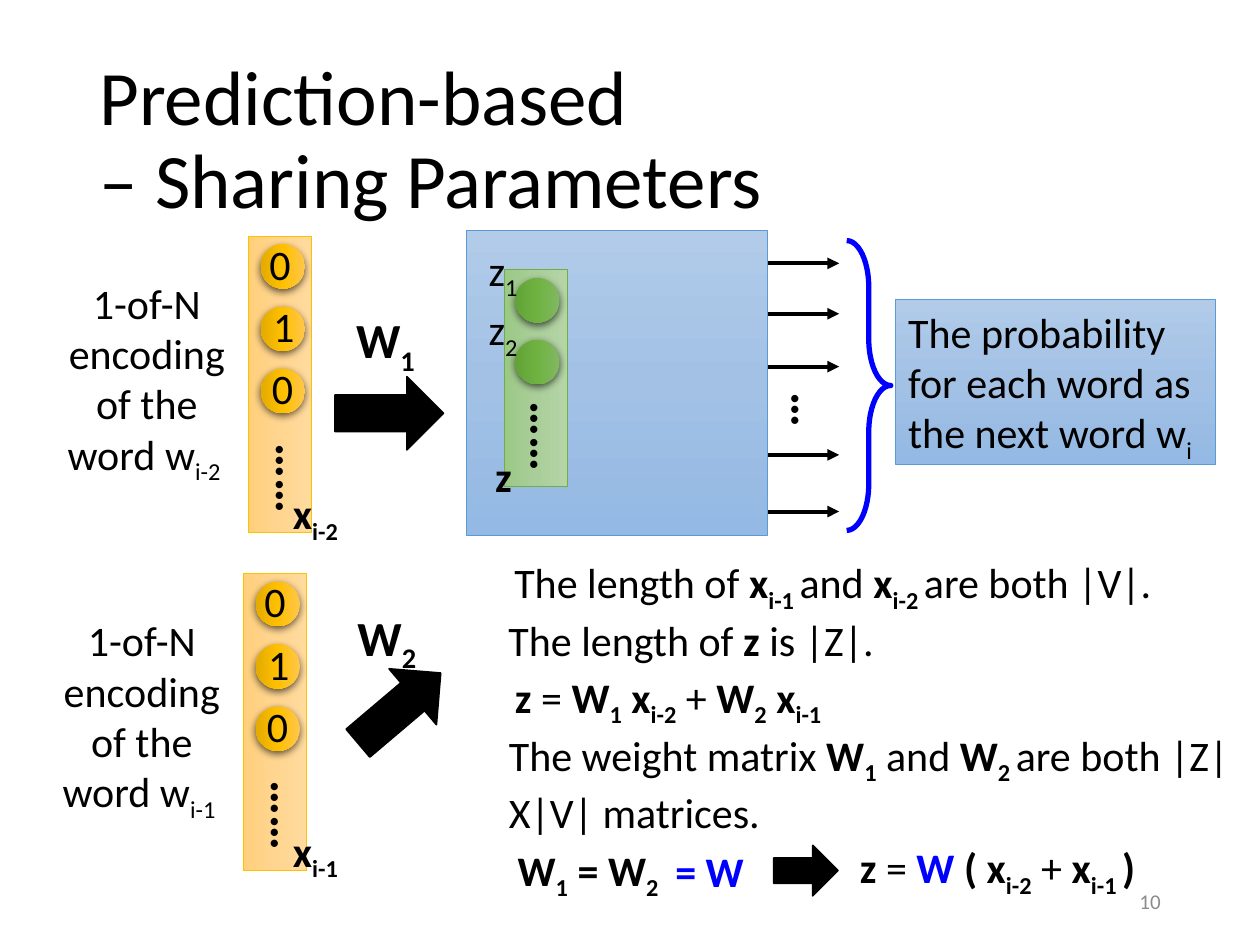
from dataclasses import dataclass
from typing import NamedTuple

from lxml import etree
from pptx import Presentation
from pptx.dml.color import RGBColor
from pptx.enum.shapes import MSO_CONNECTOR, MSO_SHAPE
from pptx.enum.text import MSO_ANCHOR, PP_ALIGN
from pptx.oxml import parse_xml
from pptx.oxml.ns import nsdecls, qn
from pptx.util import Inches, Pt

RECTANGLE, OVAL = MSO_SHAPE.RECTANGLE, MSO_SHAPE.OVAL
ARROW, BRACE = MSO_SHAPE.RIGHT_ARROW, MSO_SHAPE.LEFT_BRACE
STRAIGHT = MSO_CONNECTOR.STRAIGHT
LEFT, CENTER, RIGHT = PP_ALIGN.LEFT, PP_ALIGN.CENTER, PP_ALIGN.RIGHT
TOP, MIDDLE = MSO_ANCHOR.TOP, MSO_ANCHOR.MIDDLE


class Box(NamedTuple):
    left: float
    top: float
    width: float
    height: float


class Paint(NamedTuple):
    stops: tuple[str, str, str]
    line: str | None = None


@dataclass(frozen=True)
class Theme:
    font: str = "Calibri"
    black: str = "000000"
    blue: str = "0000FF"
    gray: str = "8C8C8C"
    title: int = 44
    large: int = 28
    body: int = 24
    small: int = 12
    panel: Paint = Paint(("B1CBE9", "A3C1E5", "93B9E4"), "5B9BD5")
    input_bar: Paint = Paint(("FFDB9E", "FFD590", "FFD07C"), "FFC000")
    input_node: Paint = Paint(("FFC64B", "FFC000", "E3AB00"))
    hidden_bar: Paint = Paint(("B5D5A7", "AACE9A", "9CC987"), "70AD47")
    hidden_node: Paint = Paint(("81B861", "6FB242", "62A336"))


THEME = Theme()


@dataclass(frozen=True)
class Span:
    text: str
    bold: bool = False
    sub: bool = False
    color: str = THEME.black


def bold(text: str, color: str = THEME.black) -> Span:
    return Span(text, bold=True, color=color)


def bold_sub(text: str) -> Span:
    return Span(text, bold=True, sub=True)


def write(frame, paragraphs: list[list[Span]], size: int, align=LEFT, anchor=TOP) -> None:
    frame.word_wrap = True
    frame.vertical_anchor = anchor
    for index, spans in enumerate(paragraphs):
        para = frame.add_paragraph() if index else frame.paragraphs[0]
        para.alignment = align
        for span in spans:
            if span.text == "\n":
                para.add_line_break()
                continue
            run = para.add_run()
            run.text = span.text
            run.font.name = THEME.font
            run.font.size = Pt(size)
            run.font.bold = span.bold
            run.font.color.rgb = RGBColor.from_string(span.color)
            if span.sub:
                run.font._element.set("baseline", "-25000")


def add_text(page, box: Box, *paragraphs: list[Span], size: int = THEME.body,
             align=CENTER, anchor=TOP, rotation: float = 0):
    label = page.shapes.add_textbox(*map(Inches, box))
    label.rotation = rotation
    write(label.text_frame, list(paragraphs), size, align, anchor)
    return label


def add_painted(page, kind, box: Box, paint: Paint, rotation: float = 0):
    shape = page.shapes.add_shape(kind, *map(Inches, box))
    shape.rotation = rotation
    shape.shadow.inherit = False
    stops = "".join(f'<a:gs pos="{index * 50000}"><a:srgbClr val="{color}"/></a:gs>'
                    for index, color in enumerate(paint.stops))
    gradient = parse_xml(f'<a:gradFill {nsdecls("a")} rotWithShape="1"><a:gsLst>{stops}</a:gsLst>'
                         '<a:lin ang="5400000" scaled="0"/></a:gradFill>')
    shape._element.spPr.find(qn("a:prstGeom")).addnext(gradient)
    if paint.line:
        shape.line.color.rgb = RGBColor.from_string(paint.line)
        shape.line.width = Pt(0.5)
    else:
        shape.line.fill.background()
    return shape


def add_node(page, left: float, top: float, paint: Paint) -> None:
    node = add_painted(page, OVAL, Box(left, top, 0.35, 0.35), paint, 90)
    node._element.spPr.find(qn("a:effectLst")).append(parse_xml(
        f'<a:outerShdw {nsdecls("a")} blurRad="57150" dist="19050" dir="5400000" algn="ctr" '
        'rotWithShape="0"><a:srgbClr val="000000"><a:alpha val="63000"/></a:srgbClr></a:outerShdw>'))


def add_dots(page, box: Box, text: str) -> None:
    add_text(page, box, [bold(text)], size=THEME.large, align=LEFT, rotation=90)


def add_block_arrow(page, box: Box, rotation: float = 0) -> None:
    arrow = page.shapes.add_shape(ARROW, *map(Inches, box))
    arrow.rotation = rotation
    arrow.shadow.inherit = False
    arrow.fill.solid()
    arrow.fill.fore_color.rgb = RGBColor.from_string(THEME.black)
    arrow.line.color.rgb = RGBColor.from_string(THEME.black)
    arrow.line.width = Pt(1)


def add_output_line(page, y: float) -> None:
    line = page.shapes.add_connector(STRAIGHT, Inches(5.83), Inches(y), Inches(6.66), Inches(y))
    line.line.color.rgb = RGBColor.from_string(THEME.black)
    line.line.width = Pt(2.25)
    etree.SubElement(line.line._get_or_add_ln(), qn("a:tailEnd"), type="triangle")
    etree.SubElement(line._element.spPr, qn("a:effectLst"))


def add_brace(page, box: Box) -> None:
    brace = page.shapes.add_shape(BRACE, *map(Inches, box))
    brace._element.spPr.find(qn("a:xfrm")).set("flipH", "1")
    brace.adjustments[0] = 1.05
    brace.shadow.inherit = False
    brace.fill.background()
    brace.line.color.rgb = RGBColor.from_string(THEME.blue)
    brace.line.width = Pt(3)


def add_word_input(page, dx: float, dy: float, index: str) -> None:
    add_text(page, Box(0.31 + dx, 2.15 + dy, 1.71, 1.72), [Span("1-of-N encoding")],
             [Span("of the word w"), Span(index, sub=True)])
    add_painted(page, RECTANGLE, Box(1.05 + dx, 2.8 + dy, 2.35, 0.5), THEME.input_bar, 90)
    add_dots(page, Box(1.98 + dx, 3.7 + dy, 0.93, 0.37), "……")
    for row, (digit, left) in enumerate((("0", 2.04), ("1", 2.07), ("0", 2.06))):
        top = 1.94 + dy + row * 0.495
        add_node(page, 2.07 + dx, top, THEME.input_node)
        add_text(page, Box(left + dx, top - 0.1, 0.43, 0.5), [Span(digit)], align=LEFT)
    add_text(page, Box(2.15, 3.82 + dy, 0.75, 0.5), [bold("x"), bold_sub(index)])


def add_hidden_layer(page) -> None:
    add_painted(page, RECTANGLE, Box(3.7, 1.83, 2.39, 2.42), THEME.panel)
    add_painted(page, RECTANGLE, Box(3.39, 2.75, 1.73, 0.5), THEME.hidden_bar, 90)
    for row, number in enumerate("12"):
        add_node(page, 4.09, 2.21 + row * 0.49, THEME.hidden_node)
        add_text(page, Box(3.78, 1.89 + row * 0.47, 0.6, 0.5),
                 [Span("z"), Span(number, sub=True)], align=LEFT)
    add_dots(page, Box(4, 3.37, 0.93, 0.37), "……")
    add_text(page, Box(3.62, 3.53, 0.75, 0.5), [bold("z")])


def add_formulas(page) -> None:
    add_text(page, Box(3.89, 4.37, 5.44, 0.5), [
        Span("The length of "), bold("x"), bold_sub("i-1 "), Span("and"), bold(" x"),
        bold_sub("i-2 "), Span("are both |V|.")])
    add_text(page, Box(3.87, 4.83, 3.23, 0.5),
             [Span("The length of "), bold("z "), Span("is |Z|.")])
    add_text(page, Box(3.71, 5.28, 3.23, 0.5), [
        bold("z "), Span("= "), bold("W"), bold_sub("1"), bold(" x"), bold_sub("i-2"),
        Span(" +"), bold(" W"), bold_sub("2"), bold(" x"), bold_sub("i-1 ")])
    add_text(page, Box(3.94, 5.74, 5.97, 0.91), [
        Span("The weight matrix "), bold("W"), bold_sub("1"), Span(" and "), bold("W"),
        bold_sub("2 "), Span("are both |Z|X|V| matrices.")], align=LEFT)
    add_text(page, Box(3.82, 6.65, 1.65, 0.5), [
        bold_sub(" "), bold("W"), bold_sub("1"), bold(" = W"), bold_sub("2")])
    add_text(page, Box(5.13, 6.66, 0.96, 0.5), [bold_sub(" "), bold("= W", THEME.blue)])
    add_block_arrow(page, Box(6.14, 6.71, 0.51, 0.4))
    add_text(page, Box(6.34, 6.63, 3.23, 0.5), [
        bold("z "), Span("= "), bold("W ", THEME.blue), bold("( x"), bold_sub("i-2"),
        Span(" +"), bold(" x"), bold_sub("i-1 "), bold(") ")])


def main() -> None:
    deck = Presentation()
    deck.slide_width, deck.slide_height = Inches(10), Inches(7.5)
    page = deck.slides.add_slide(deck.slide_layouts[6])
    title = add_text(page, Box(0.69, 0.4, 8.62, 1.45),
                     [Span("Prediction-based "), Span("\n"), Span("– Sharing Parameters")],
                     size=THEME.title, align=LEFT, anchor=MIDDLE)
    title.text_frame.paragraphs[0].line_spacing = 0.9
    add_brace(page, Box(6.72, 1.91, 0.35, 2.3))
    for y in (2.09, 2.49, 2.91, 3.61, 4.06):
        add_output_line(page, y)
    add_dots(page, Box(6.15, 3.02, 0.57, 0.57), "…")
    add_hidden_layer(page)
    probability = add_painted(page, RECTANGLE, Box(7.11, 2.38, 2.54, 1.31), THEME.panel)
    write(probability.text_frame, [[Span("The probability for each word as the next word w"),
                                    Span("i", sub=True)]], THEME.body)
    add_word_input(page, 0, 0, "i-2 ")
    add_word_input(page, -0.04, 2.68, "i-1 ")
    add_block_arrow(page, Box(2.66, 2.99, 0.86, 0.58))
    add_block_arrow(page, Box(2.74, 5.33, 0.86, 0.58), 319.7)
    for number, left, top in (("1 ", 2.71, 2.41), ("2 ", 2.72, 4.77)):
        add_text(page, Box(left, top, 0.75, 0.57), [bold("W"), bold_sub(number)], size=THEME.large)
    add_formulas(page)
    add_text(page, Box(7.06, 6.95, 2.25, 0.4), [Span("10", color=THEME.gray)],
             size=THEME.small, align=RIGHT, anchor=MIDDLE)
    deck.save("out.pptx")


if __name__ == "__main__":
    main()
